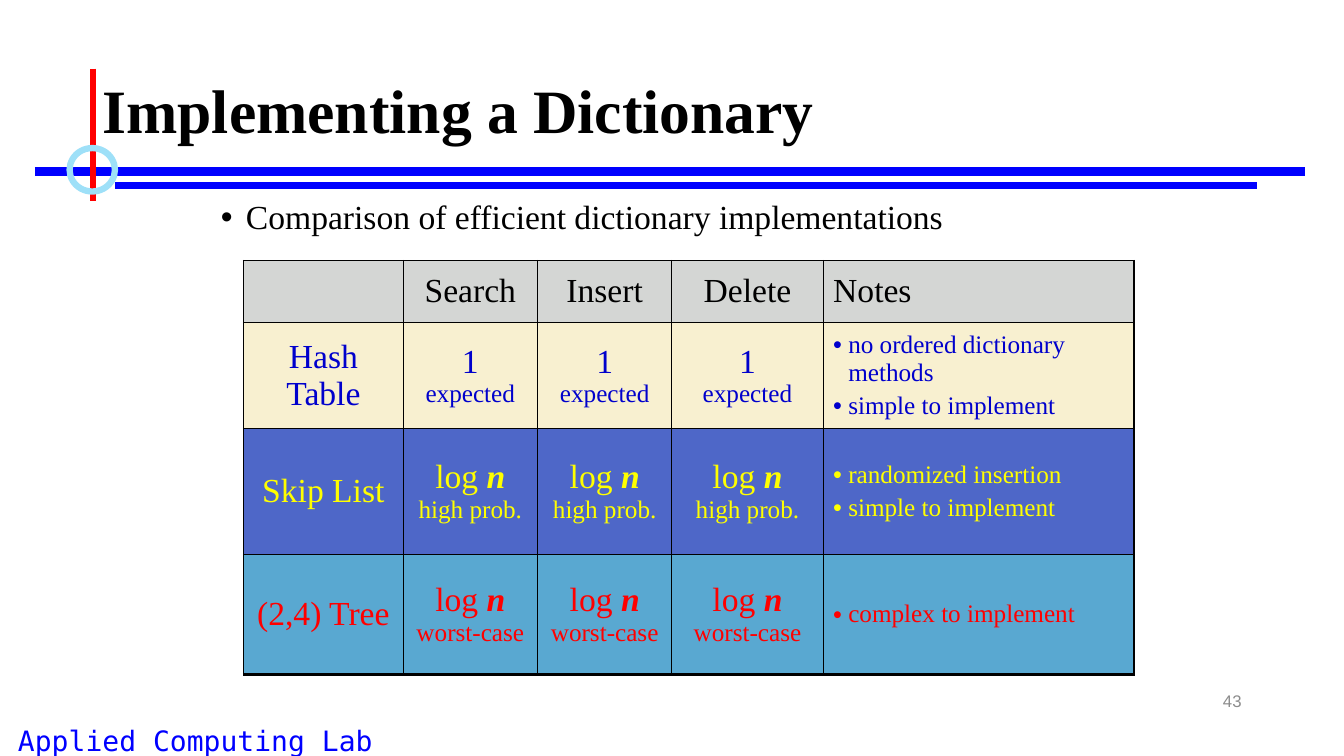
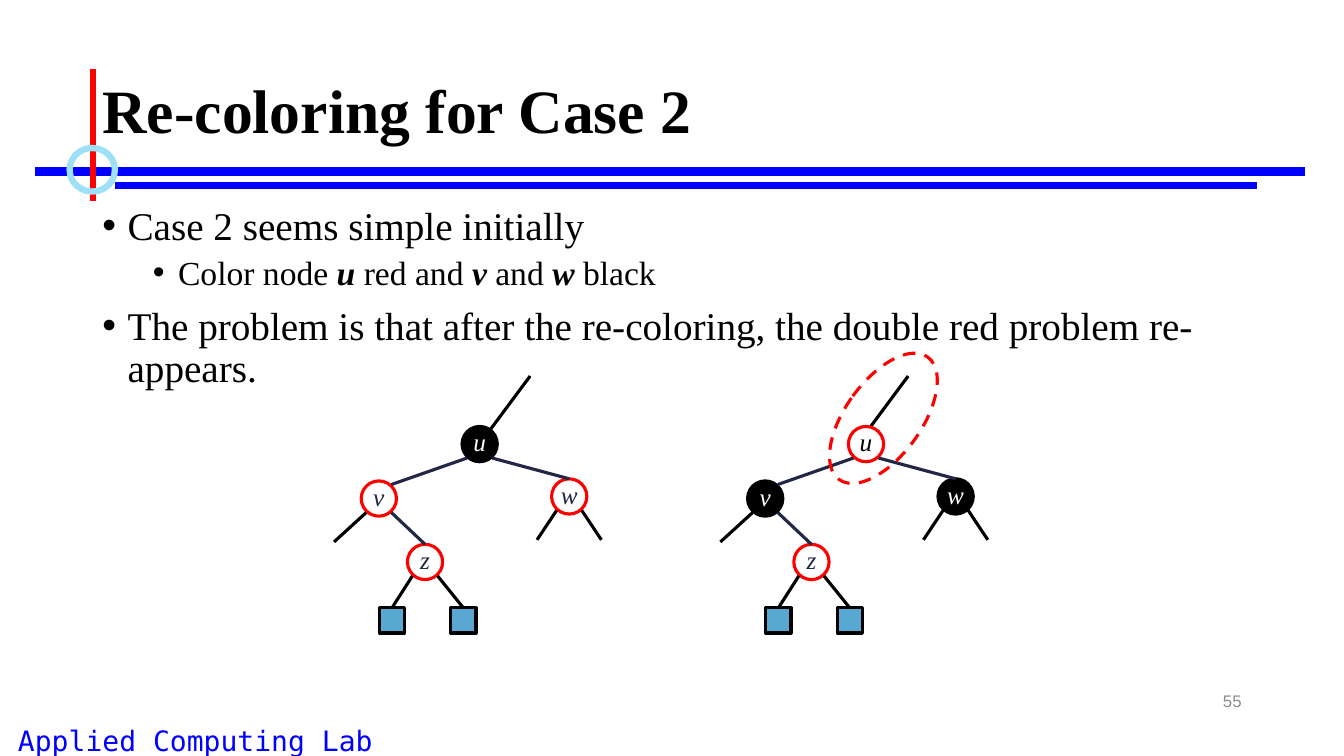
from lxml import etree
from pptx import Presentation
from pptx.dml.color import RGBColor
from pptx.enum import dml, shapes, text
from pptx.oxml.ns import qn
from pptx.util import Pt

HUES = {
    "ink": "000000", "blue": "0000FF", "red": "FF0000", "sky": "9EE0F8",
    "gray": "8C8C8C", "navy": "212745", "white": "FFFFFF", "head": "D4D6D4",
    "cream": "F8F0D0", "royal": "4E67C8", "teal": "59A8D1",
    "deep": "0000CC", "lemon": "FFFF00",
}
SIDES = {"l": text.PP_ALIGN.LEFT, "c": text.PP_ALIGN.CENTER, "r": text.PP_ALIGN.RIGHT}
MIDDLE = text.MSO_ANCHOR.MIDDLE
OVAL, RECT = shapes.MSO_SHAPE.OVAL, shapes.MSO_SHAPE.RECTANGLE
NODE, LEAF, STEP = 25.2, 18, 276

HEAD = ["", "Search", "Insert", "Delete", "Notes"]
ROWS = [
    ("cream", "deep", "Hash Table", "1\nexpected",
     ["no ordered dictionary methods", "simple to implement"]),
    ("royal", "lemon", "Skip List", "log *n*\nhigh prob.",
     ["randomized insertion", "simple to implement"]),
    ("teal", "red", "(2,4) Tree", "log *n*\nworst-case",
     ["complex to implement"]),
]


def rgb(name):
    return RGBColor.from_string(HUES[name])


def write(frame, words, size=24, small=18, font="Times New Roman", hue="ink",
          bold=False, slant=False, side="l", lead=None, gap=0, hang=0, level=0):
    para = frame.add_paragraph() if frame.text else frame.paragraphs[0]
    para.alignment = SIDES[side]
    para.level = level
    para.line_spacing = lead
    para.space_before = Pt(gap)
    if hang:
        props = para._p.get_or_add_pPr()
        props.set("marL", str(Pt(36 * level + hang)))
        props.set("indent", str(Pt(-hang)))
        etree.SubElement(props, qn("a:buFont")).set("typeface", "Arial")
        etree.SubElement(props, qn("a:buChar")).set("char", "•")
    for row, line in enumerate(words.split("\n")):
        if row:
            para.add_line_break()
        for part, piece in enumerate(line.split("*")):
            if piece:
                run = para.add_run()
                run.text = piece
                face = run.font
                face.name, face.size = font, Pt(small if row else size)
                face.bold = bold or part % 2 == 1
                face.italic = slant or part % 2 == 1
                face.color.rgb = rgb(hue)


def place(item, left, top, wide, high):
    item.left, item.top = Pt(left), Pt(top)
    item.width, item.height = Pt(wide), Pt(high)


def label(slide, words, left, top, wide, high, **form):
    box = slide.shapes.add_textbox(Pt(left), Pt(top), Pt(wide), Pt(high))
    box.text_frame.word_wrap = True
    box.text_frame.vertical_anchor = MIDDLE
    write(box.text_frame, words, **form)
    return box


def shape(home, kind, left, top, wide, high, edge, fill=None, weight=2.25):
    item = home.shapes.add_shape(kind, Pt(left), Pt(top), Pt(wide), Pt(high))
    item.shadow.inherit = False
    if fill:
        item.fill.solid()
        item.fill.fore_color.rgb = rgb(fill)
    else:
        item.fill.background()
    item.line.color.rgb = rgb(edge)
    item.line.width = Pt(weight)
    return item


def line(home, start, stop, hue="ink", weight=2.25):
    item = home.shapes.add_connector(
        shapes.MSO_CONNECTOR.STRAIGHT, *[Pt(val) for val in (*start, *stop)])
    item.line.color.rgb = rgb(hue)
    item.line.width = Pt(weight)
    etree.SubElement(item.element.spPr, qn("a:effectLst"))
    return item


def brand(slide):
    layout = slide.slide_layout
    place(layout.placeholders[0], 66, 29, 828, 104)
    place(layout.placeholders[1], 66, 144, 828, 343)
    marks = [
        label(slide, "Applied Computing Lab", 0, 513, 279, 31, size=20,
              font="DejaVu Sans Mono", hue="blue", side="c"),
        line(slide, (25, 122.4), (932.5, 122.4), "blue", 6),
        line(slide, (82, 132.5), (898, 132.5), "blue", 4.5),
        line(slide, (66.4, 49), (66.4, 143.5), "red", 4.5),
        shape(slide, OVAL, 49.7, 105.8, 32.4, 31, "sky", weight=4.5),
    ]
    for rank, mark in enumerate(marks):
        mark.element.xpath(".//p:cNvPr")[0].set("id", str(50 + rank))
        layout.shapes.element.append(mark.element)


def page(deck, title, number):
    slide = deck.slides.add_slide(deck.slide_layouts[1])
    head = slide.shapes.title.text_frame
    head.auto_size = text.MSO_AUTO_SIZE.NONE
    head.vertical_anchor = MIDDLE
    write(head, title, size=44, bold=True, lead=0.9)
    body = slide.placeholders[1]
    body.text_frame.auto_size = text.MSO_AUTO_SIZE.NONE
    label(slide, number, 678, 486, 216, 29, size=12, font="Arial",
          hue="gray", side="r")
    return slide, body


def border(cell, right, low):
    props = cell._tc.get_or_add_tcPr()
    for rank, (tag, weight) in enumerate(
            [("lnL", 1), ("lnR", right), ("lnT", 1), ("lnB", low)]):
        edge = etree.Element(qn("a:" + tag), w=str(Pt(weight)))
        fill = etree.SubElement(edge, qn("a:solidFill"))
        etree.SubElement(fill, qn("a:srgbClr")).set("val", HUES["ink"])
        props.insert(rank, edge)


def grid(slide):
    wides, highs = [114, 96, 96, 108, 222], [44.5, 75.6, 90, 85.5]
    table = slide.shapes.add_table(
        len(highs), len(wides), Pt(174), Pt(186),
        Pt(sum(wides)), Pt(sum(highs))).table
    table.first_row = table.horz_banding = False
    for col, wide in zip(table.columns, wides):
        col.width = Pt(wide)
    for row, high in zip(table.rows, highs):
        row.height = Pt(high)
    data = [("head", "ink", HEAD)]
    data += [(fill, hue, [name, cost, cost, cost, notes])
             for fill, hue, name, cost, notes in ROWS]
    for y, (fill, hue, items) in enumerate(data):
        for x, item in enumerate(items):
            cell = table.cell(y, x)
            cell.vertical_anchor = MIDDLE
            cell.fill.solid()
            cell.fill.fore_color.rgb = rgb(fill)
            last = x == len(wides) - 1
            border(cell, 2.25 if last else 1, 2.25 if y == len(highs) - 1 else 1)
            if isinstance(item, list):
                for note in item:
                    write(cell.text_frame, note, size=18, hue=hue, gap=3.6, hang=10.8)
            else:
                write(cell.text_frame, item, hue=hue, gap=4.8, side="l" if last else "c")


def node(home, name, left, top, dark, hue="navy"):
    item = shape(home, OVAL, left, top, NODE, NODE,
                 "ink" if dark else "red", "ink" if dark else None)
    frame = item.text_frame
    frame.margin_left = frame.margin_right = frame.margin_top = 0
    frame.margin_bottom = Pt(3.6)
    frame.word_wrap = False
    frame.vertical_anchor = MIDDLE
    write(frame, name, size=18, slant=True, side="c", hue="white" if dark else hue)
    return item


def spot(item, right, down):
    return (item.left.pt + NODE / 2 + 9 * right, item.top.pt + NODE / 2 + 10 * down)


def link(home, start, item, hue="ink"):
    stop = (item.left.pt + item.width.pt / 2, item.top.pt)
    line(home, start, stop, hue).end_connect(item, 0)


def tree(slide, left, dark, stub):
    home = slide.shapes.add_group_shape()
    line(home, *[(left + x, y) for x, y in stub])
    u = node(home, "u", left + 92, 304.6, "u" in dark, "ink")
    v = node(home, "v", left + 20, 343.5, "v" in dark)
    w = node(home, "w", left + 156, 342, "w" in dark)
    z = node(home, "z", left + 53, 388.8, "z" in dark)
    line(home, spot(v, 1, -1), spot(u, -1, 1), "navy")
    link(home, spot(u, 1, 1), w, "navy")
    link(home, spot(v, 1, 1), z, "navy")
    for item, side, wide, high in [(v, -1, 23, 21), (w, -1, 14, 21), (w, 1, 14, 21)]:
        x, y = spot(item, side, 1)
        line(home, (x, y), (x + side * wide, y + high))
    for side, x in [(-1, 33), (1, 84)]:
        leaf = shape(home, RECT, left + x, 434.2, LEAF, LEAF, "ink", "teal")
        link(home, spot(z, side, 1), leaf)


def compare(deck):
    slide, body = page(deck, "Implementing a Dictionary", "43")
    brand(slide)
    place(body, 150.5, 139.7, 612, 48)
    write(body.text_frame, "Comparison of efficient dictionary implementations",
          lead=0.9, gap=10, hang=18)
    grid(slide)


def recolor(deck):
    slide, body = page(deck, "Re-coloring for Case 2", "55")
    for words, size, gap, level in [
        ("Case 2 seems simple initially", 28, 10, 0),
        ("Color node *u* red and *v* and *w* black", 24, 5, 1),
        ("The problem is that after the re-coloring, the double red problem "
         "re-appears.", 28, 10, 0),
    ]:
        write(body.text_frame, words, size=size, lead=0.9, gap=gap,
              hang=18, level=level)
    tree(slide, 238, "u", [(140.7, 268.6), (104.7, 317)])
    tree(slide, 238 + STEP, "vw", [(134.7, 268.6), (108, 304.6)])
    ring = shape(slide, OVAL, 604, 244.8, 54, 108, "red")
    ring.rotation = 35.9
    ring.line.dash_style = dml.MSO_LINE.DASH


def main():
    deck = Presentation()
    deck.slide_width, deck.slide_height = Pt(960), Pt(540)
    compare(deck)
    recolor(deck)
    deck.save("out.pptx")


if __name__ == "__main__":
    main()
